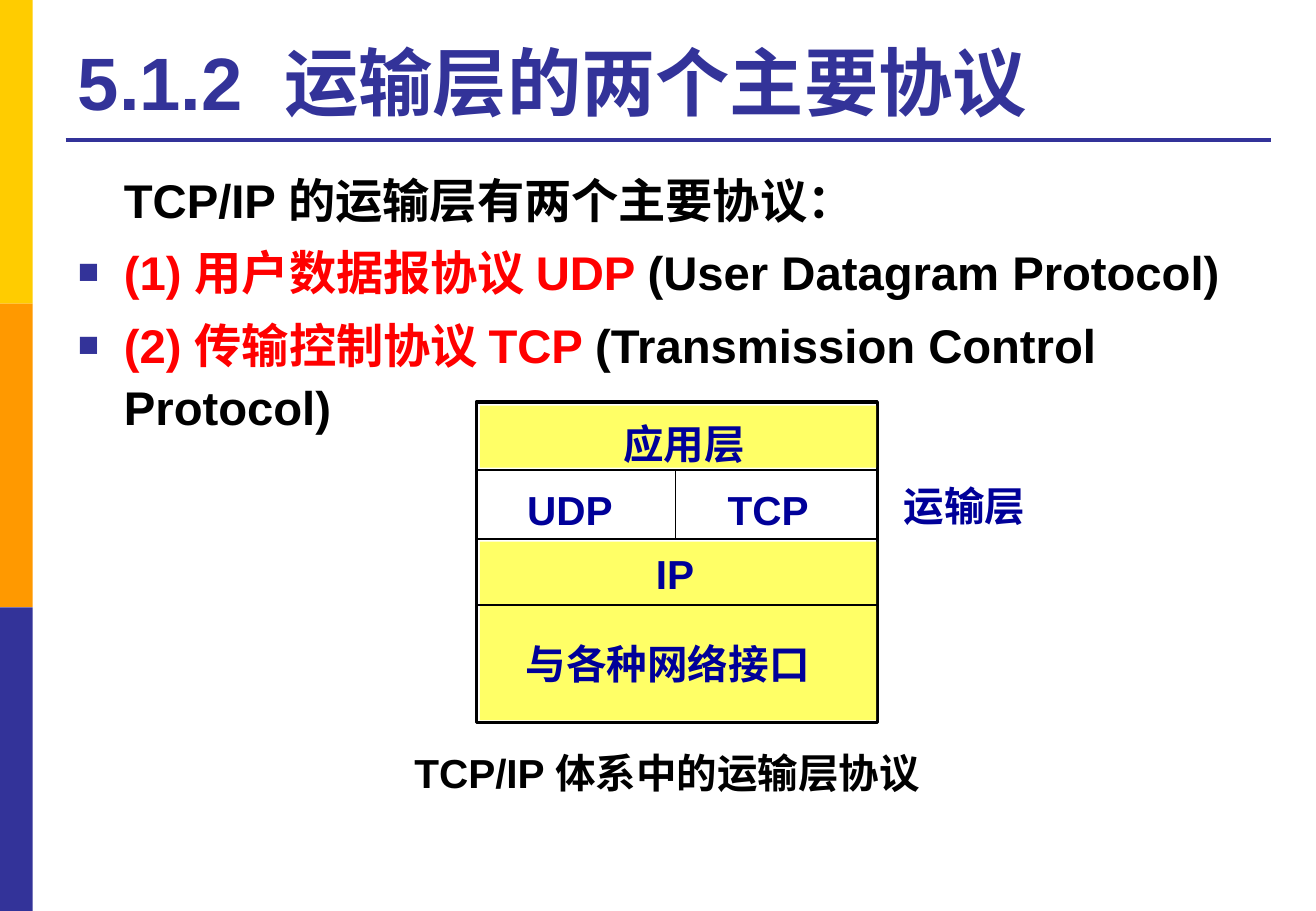
from lxml.etree import SubElement
from pptx import Presentation
from pptx.dml.color import RGBColor
from pptx.enum.shapes import MSO_CONNECTOR, MSO_SHAPE
from pptx.enum.text import MSO_ANCHOR, MSO_AUTO_SIZE, PP_ALIGN
from pptx.oxml.ns import qn
from pptx.util import Pt

PX = 9144
WIDTH, HEIGHT = 1083, 750
BLACK = RGBColor(0x00, 0x00, 0x00)
WHITE = RGBColor(0xFF, 0xFF, 0xFF)
RED = RGBColor(0xFF, 0x00, 0x00)
INDIGO = RGBColor(0x33, 0x33, 0x99)
NAVY = RGBColor(0x00, 0x00, 0x99)
GOLD = RGBColor(0xFF, 0xCC, 0x00)
ORANGE = RGBColor(0xFF, 0x99, 0x00)
YELLOW = RGBColor(0xFF, 0xFF, 0x66)

PROTOCOLS = [
    ("(1) 用户数据报协议 UDP ", "(User Datagram Protocol)"),
    ("(2) 传输控制协议 TCP ", "(Transmission Control Protocol)"),
]


def px(*lengths):
    return [length * PX for length in lengths]


def set_font(para, size, color):
    font = para.font
    font.name, font.size, font.bold = "Arial", Pt(size), True
    font.color.rgb = color


def add_block(page, box, fill, border=None):
    block = page.shapes.add_shape(MSO_SHAPE.RECTANGLE, *px(*box))
    block.shadow.inherit = False
    block.fill.solid()
    block.fill.fore_color.rgb = fill
    if border:
        block.line.color.rgb = BLACK
        block.line.width = Pt(border)
    else:
        block.line.fill.background()


def add_rule(page, start, end, color=BLACK, width=1):
    rule = page.shapes.add_connector(MSO_CONNECTOR.STRAIGHT, *px(*start, *end))
    rule.line.color.rgb = color
    rule.line.width = Pt(width)
    SubElement(rule._element.spPr, qn("a:effectLst"))


def add_label(page, box, text, color=NAVY, align=PP_ALIGN.LEFT, wrap=False):
    label = page.shapes.add_textbox(*px(*box))
    frame = label.text_frame
    frame.word_wrap = wrap
    para = frame.paragraphs[0]
    para.alignment = align
    para.add_run().text = text
    set_font(para, 24, color)


def place(holder, box, anchor):
    holder.left, holder.top, holder.width, holder.height = px(*box)
    frame = holder.text_frame
    frame.auto_size = MSO_AUTO_SIZE.NONE
    frame.vertical_anchor = anchor
    return frame


def add_sidebar(page, box):
    left, top, width, height = box
    band = height // 3
    for row, color in enumerate((GOLD, ORANGE, INDIGO)):
        add_block(page, (left, top + row * band, width, band), color)


def fill_title(page, box):
    left, top, width, height = box
    para = place(page.shapes.title, box, MSO_ANCHOR.BOTTOM).paragraphs[0]
    para.alignment = PP_ALIGN.LEFT
    para.add_run().text = "5.1.2  运输层的两个主要协议"
    set_font(para, 44, INDIGO)
    line = top + height + 7
    add_rule(page, (left, line), (left + width, line), INDIGO, 2.25)


def format_item(para, bulleted):
    para.line_spacing = 1.1
    para.space_before = Pt(6)
    props = para._p.get_or_add_pPr()
    indent = 38 * PX
    props.set("marL", str(indent))
    props.set("indent", str(-indent if bulleted else 0))
    if bulleted:
        color = SubElement(props, qn("a:buClr"))
        SubElement(color, qn("a:srgbClr"), val=str(INDIGO))
        SubElement(props, qn("a:buSzPct"), val="75000")
        SubElement(props, qn("a:buFont"), typeface="Arial")
        SubElement(props, qn("a:buChar"), char="■")
    else:
        SubElement(props, qn("a:buNone"))
    set_font(para, 28, BLACK)


def fill_body(page, box):
    frame = place(page.placeholders[1], box, MSO_ANCHOR.TOP)
    intro = frame.paragraphs[0]
    intro.add_run().text = "TCP/IP 的运输层有两个主要协议："
    format_item(intro, False)
    for name, meaning in PROTOCOLS:
        para = frame.add_paragraph()
        format_item(para, True)
        span = para.add_run()
        span.text = name
        span.font.color.rgb = RED
        para.add_run().text = meaning


def add_stack(page, box):
    left, top, width, height = box
    right = left + width
    transport, internet, network = top + 56, top + 113, top + 167
    middle = left + width // 2 - 1
    add_block(page, box, WHITE, 2)
    inner, inner_width = left + 3, width - 4
    add_block(page, (inner, top + 3, inner_width, 51), YELLOW)
    add_block(page, (inner, internet + 2, inner_width, 147), YELLOW)
    for line in (transport, internet, network):
        add_rule(page, (left, line), (right, line))
    add_rule(page, (middle, transport), (middle, internet))
    add_label(page, (left + 111, top + 9, 121, 50), "应用层")
    add_label(page, (left + 32, transport + 7, 91, 50), "UDP")
    add_label(page, (left + 197, transport + 7, 87, 50), "TCP")
    add_label(page, (left + 138, internet + 3, 52, 50), "IP")
    add_label(page, (left + 31, network + 23, 281, 50), "与各种网络接口", wrap=True)
    add_label(page, (right + 12, transport + 4, 122, 50), "运输层")
    add_label(page, (left - 110, top + height + 16, 534, 50),
              "TCP/IP 体系中的运输层协议", BLACK, PP_ALIGN.CENTER, True)


def main():
    deck = Presentation()
    deck.slide_width, deck.slide_height = px(WIDTH, HEIGHT)
    page = deck.slides.add_slide(deck.slide_layouts[1])
    add_sidebar(page, (0, 0, 27, HEIGHT))
    fill_title(page, (54, 21, 992, 87))
    fill_body(page, (54, 131, 992, 540))
    add_stack(page, (392, 331, 330, 264))
    deck.save("out.pptx")


if __name__ == "__main__":
    main()
